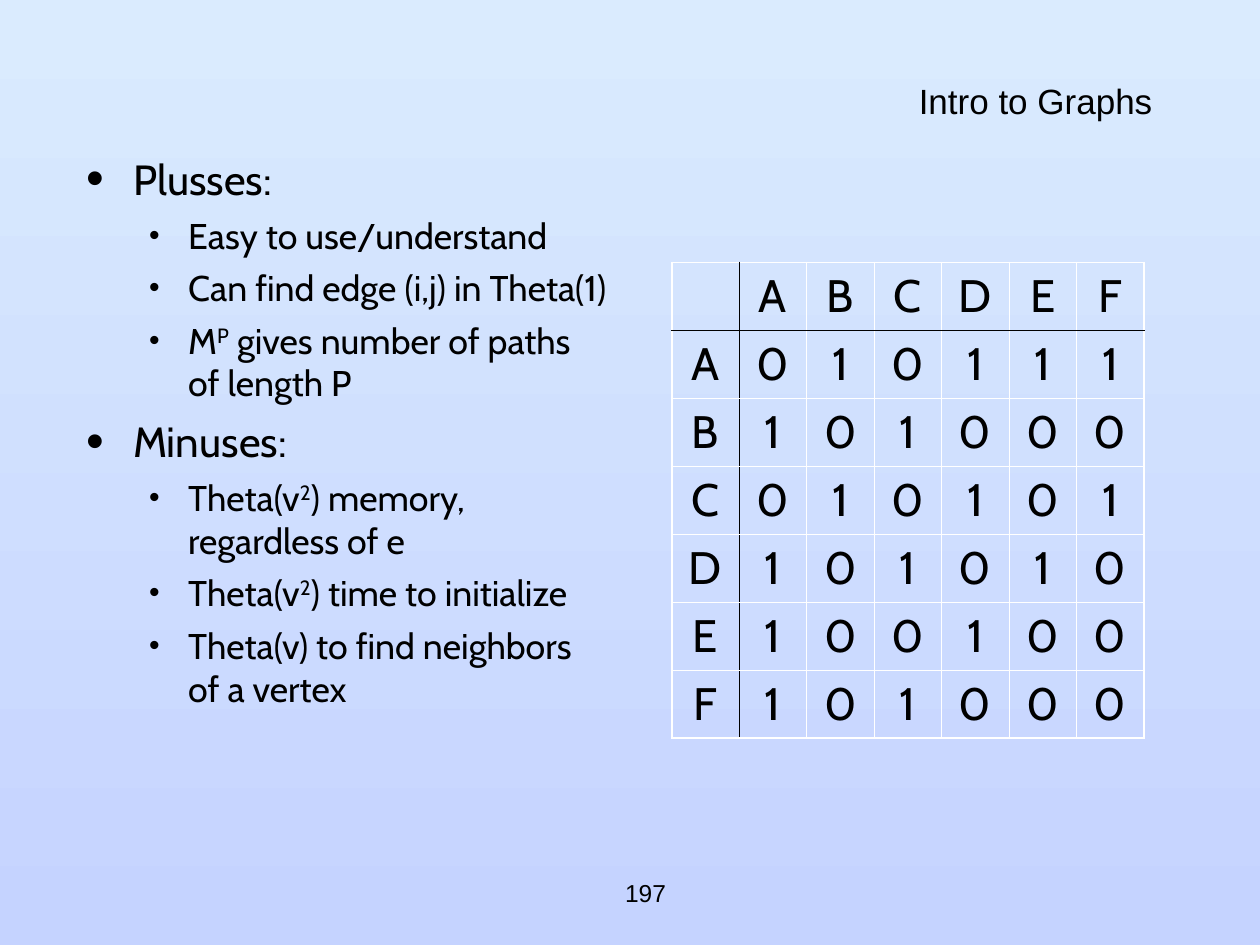
from dataclasses import dataclass

from lxml.etree import SubElement
from pptx import Presentation
from pptx.dml.color import RGBColor
from pptx.enum.text import MSO_ANCHOR as Anchor, MSO_AUTO_SIZE as AutoSize, PP_ALIGN as Align
from pptx.oxml.ns import qn
from pptx.util import Cm, Pt


@dataclass(frozen=True)
class Theme:
    """Colours, fonts and type sizes of the slide."""
    sky: str = "DAEBFE"
    dusk: str = "C5D3FF"
    ink: str = "000000"
    grid: str = "FFFFFF"
    plain: str = "Arial"
    main: str = "Cabin"
    title: float = 20
    topic: float = 24.1
    point: float = 20.4
    cell: float = 26
    number: float = 14
    thin: float = 0.45
    thick: float = 1.08


@dataclass(frozen=True)
class Level:
    """Bullet layout of one list level."""
    size: float
    margin: float
    hang: float
    before: float
    bullet: int


THEME = Theme()
LEVELS = (
    Level(THEME.topic, 0.95, 0.95, 6.5, 120),
    Level(THEME.point, 2.06, 0.79, 5.5, 85),
)
POINTS = (
    (0, ("Plusses:",)),
    (1, ("Easy to use/understand",)),
    (1, ("Can find edge (i,j) in Theta(1)",)),
    (1, ("M", "P", " gives number of paths of length P")),
    (0, ("Minuses:",)),
    (1, ("Theta(v", "2", ") memory, regardless of e")),
    (1, ("Theta(v", "2", ") time to initialize")),
    (1, ("Theta(v) to find neighbors of a vertex",)),
)
VERTICES = "ABCDEF"
ADJACENCY = ("010111", "101000", "010101", "101010", "100100", "101000")


def add_span(para, text, size, font, raised=False):
    """Add one formatted run to a paragraph."""
    span = para.add_run()
    span.text = text
    span.font.size = Pt(size)
    span.font.name = font
    span.font.bold = False
    span.font.color.rgb = RGBColor.from_string(THEME.ink)
    if raised:
        span.font._element.set("baseline", "30000")


def add_color(parent, color):
    """Append an RGB colour element."""
    SubElement(parent, qn("a:srgbClr"), val=color)


def place(shape, box):
    """Move a shape to a box of left, top, width and height in centimetres."""
    shape.left, shape.top, shape.width, shape.height = (Cm(length) for length in box)
    shape.text_frame.auto_size = AutoSize.NONE
    shape.text_frame.word_wrap = True


def paint_background(page):
    """Fill the page with a gradient running from top to bottom."""
    fill = page.background.fill
    fill.gradient()
    fill.gradient_angle = 270
    for stop, color, position in zip(fill.gradient_stops, (THEME.sky, THEME.dusk), (0, 1)):
        stop.color.rgb = RGBColor.from_string(color)
        stop.position = position


def write_line(shape, box, text, size, align):
    """Write a single vertically centred line into a text shape."""
    place(shape, box)
    shape.text_frame.vertical_anchor = Anchor.MIDDLE
    para = shape.text_frame.paragraphs[0]
    para.alignment = align
    add_span(para, text, size, THEME.plain)
    return para


def format_bullet(para, level):
    """Give a list paragraph its indent, spacing and bullet."""
    para.space_before = Pt(level.before)
    props = para._p.get_or_add_pPr()
    props.set("marL", str(Cm(level.margin)))
    props.set("indent", str(-Cm(level.hang)))
    add_color(SubElement(props, qn("a:buClr")), THEME.ink)
    SubElement(props, qn("a:buSzPct"), val=str(level.bullet * 1000))
    SubElement(props, qn("a:buChar"), char="•")


def write_points(shape, box):
    """Write the two-level list, raising every second run."""
    place(shape, box)
    frame = shape.text_frame
    for index, (depth, texts) in enumerate(POINTS):
        para = frame.add_paragraph() if index else frame.paragraphs[0]
        para.level = depth
        format_bullet(para, LEVELS[depth])
        for order, text in enumerate(texts):
            add_span(para, text, LEVELS[depth].size, THEME.main, order % 2 == 1)


def edge_style(position, count):
    """Return colour and width of the grid line before a row or column."""
    if position == 1:
        return THEME.ink, THEME.thin
    return THEME.grid, THEME.thick if position in (0, count) else THEME.thin


def format_cell(cell, row, column, count):
    """Draw the borders of a cell and leave its fill clear."""
    props = cell._tc.get_or_add_tcPr()
    edges = (("L", column), ("R", column + 1), ("T", row), ("B", row + 1))
    for side, position in edges:
        color, width = edge_style(position, count)
        line = SubElement(props, qn(f"a:ln{side}"), w=str(Pt(width)))
        add_color(SubElement(line, qn("a:solidFill")), color)
    cell.fill.background()
    cell.vertical_anchor = Anchor.MIDDLE


def add_matrix(page, box):
    """Add the adjacency matrix with its row and column headings."""
    rows = [("", *VERTICES)] + [(name, *line) for name, line in zip(VERTICES, ADJACENCY)]
    count = len(rows)
    left, top, width, height = (Cm(length) for length in box)
    table = page.shapes.add_table(count, count, left, top, width, height).table
    table.first_row = table.horz_banding = False
    for row, texts in enumerate(rows):
        for column, text in enumerate(texts):
            cell = table.cell(row, column)
            format_cell(cell, row, column, count)
            if text:
                para = cell.text_frame.paragraphs[0]
                para.alignment = Align.CENTER
                para.space_before = Pt(6.5)
                add_span(para, text, THEME.cell, THEME.main)


def build_page(deck):
    """Build the slide with title, list, matrix and page number."""
    page = deck.slides.add_slide(deck.slide_layouts[1])
    paint_background(page)
    title = write_line(page.shapes.title, (1.9, 1.7, 21.59, 0.85),
                       "Intro to Graphs", THEME.title, Align.RIGHT)
    title.line_spacing = 0.7
    write_points(page.placeholders[1], (1.48, 2.96, 11.01, 13.97))
    add_matrix(page, (13.54, 5.29, 9.52, 9.59))
    number = page.shapes.add_textbox(0, 0, 0, 0)
    write_line(number, (10.37, 17.36, 5.29, 1.27), "197", THEME.number, Align.CENTER)


def main():
    """Create and save the deck."""
    deck = Presentation()
    deck.slide_width, deck.slide_height = Cm(25.4), Cm(19.05)
    build_page(deck)
    deck.save("out.pptx")


if __name__ == "__main__":
    main()
